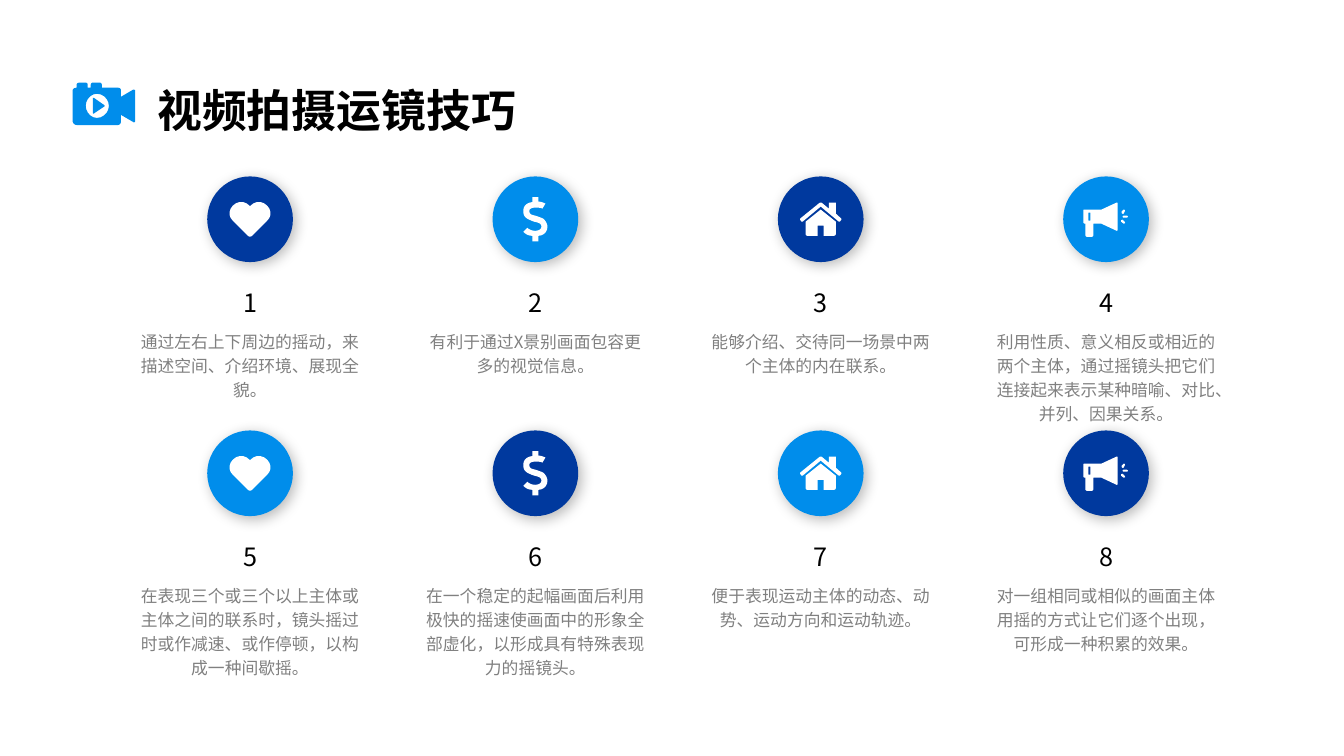
from lxml.etree import SubElement
from pptx import Presentation
from pptx.dml.color import RGBColor
from pptx.enum.shapes import MSO_SHAPE
from pptx.enum.text import MSO_ANCHOR, MSO_AUTO_SIZE, PP_ALIGN
from pptx.oxml import parse_xml
from pptx.oxml.ns import nsdecls, qn
from pptx.util import Inches, Pt

FONT = "Noto Sans CJK SC"
DARK_BLUE, BRIGHT_BLUE, WHITE = "00399E", "008DEB", "FFFFFF"

# Icon outlines in hundredths of an inch around the icon centre.
# Each line is one contour: "x,y" is a corner, six numbers are a curve.
CAMERA = """
-10,-6 0,1 1,1,1,3,0,3 -9,9 -10,10,-11,10,-11,9 -11,-5 -11,-6,-11,-6,-10,-6
-7,-10 -13,-10,-18,-4,-18,2 -18,8,-13,14,-7,14 0,14,5,8,5,2 5,-4,0,-10,-7,-10
-24,-21 -18,-21 -17,-21,-16,-20,-16,-19 -16,-16 -13,-16 -13,-19 -13,-20,-12,-21,-11,-21 -4,-21 -3,-21,-2,-20,-2,-19 -2,-16 14,-16 16,-16,17,-15,17,-13 17,-7 29,-14 30,-14,31,-14,31,-13 31,17 31,18,30,19,29,18 17,11 17,17 17,19,16,21,14,21 -27,21 -29,21,-31,19,-31,17 -31,-13 -31,-15,-29,-16,-27,-16 -27,-19 -27,-20,-26,-21,-24,-21
"""
HEART = """
0,-13 -5,-18.5,-12,-18.5,-17,-13.5 -21.5,-9,-21.5,-2.5,-17,1.5 -2,16.5 -1,17.5,1,17.5,2,16.5 17,1.5 21.5,-2.5,21.5,-9,17,-13.5 12,-18.5,5,-18.5,0,-13
"""
DOLLAR = """
12,7.5 12,4.5,10,1.5,8,-0.5 6,-1.5,3,-2.5,0,-3.5 -5,-4.5,-6,-5.5,-6,-8.5 -6,-10.5,-3,-11.5,0,-11.5 3,-11.5,5,-11.5,7,-10.5 10,-15.5 8,-16.5,5,-17.5,3,-17.5 3,-22 -3,-22 -3,-17 -9,-16.5,-12,-12.5,-12,-8.5 -12,-4.5,-11,-2.5,-8,-0.5 -6,0.5,-4,1.5,-1,2.5 4,3.5,6,4.5,6,7.5 6,10.5,2,11.5,0,11.5 -3,11.5,-6,10.5,-8,8.5 -12,12.5 -10,14.5,-7,16.5,-3,16.5 -3,22 3,22 3,16.5 8,16.5,12,12.5,12,7.5
"""
HOUSE = """
20.5,0.5 19,2.5 18,2.5 0,-12.5 -18,2.5 -19,2.5 -20.5,0.5 -20.5,-0.5 -2,-15.5 -1,-16.8,1,-16.8,2,-15.5 8,-10.5 8,-16.5 15,-16.5 15,-5.5 20.5,-0.5
15,2.5 15,14.5 15,16,14,16.5,13,16.5 3,16.5 3,6.5 -3,6.5 -3,16.5 -13,16.5 -14,16.5,-15,16,-15,14.5 -15,2.5 0,-9.5
"""
MEGAPHONE = """
16.5,0.5 18.5,2.5 19,4 17.5,4.5 15,2.5 15,1
17.5,-3.5 20.5,-3.5 22,-3.5,22,-1.5,20.5,-1.5 17.5,-1.5 16,-1.5,16,-3.5,17.5,-3.5
-17.5,-6.5 -17.5,1.5 -15.5,1.5 -15.5,-6.5
17.5,-9.5 19,-9.5,19,-8,18.5,-7.5 17.5,-5.5 16.5,-5,15,-5.5,15.5,-7.5
10.5,-16.5 11.5,-16.5,11.5,-16,11.5,-15.5 11.5,10.5 11.5,11.5,11,11.5,10.5,11.5 -4.5,4.5 -12.5,4.5 -12.5,15.5 -12.5,17,-13.5,17.5,-14.5,17.5 -18.5,17.5 -19.5,17.5,-20.5,17,-20.5,15.5 -20.5,4.5 -22,4.5,-22.5,4,-22.5,2.5 -22.5,-8.5 -22.5,-9.5,-22,-9.5,-20.5,-9.5 -4.5,-9.5
"""

TIPS = [
    "通过左右上下周边的摇动，来描述空间、介绍环境、展现全貌。",
    "有利于通过X景别画面包容更多的视觉信息。",
    "能够介绍、交待同一场景中两个主体的内在联系。",
    "利用性质、意义相反或相近的两个主体，通过摇镜头把它们连接起来表示某种暗喻、对比、并列、因果关系。",
    "在表现三个或三个以上主体或主体之间的联系时，镜头摇过时或作减速、或作停顿，以构成一种间歇摇。",
    "在一个稳定的起幅画面后利用极快的摇速使画面中的形象全部虚化，以形成具有特殊表现力的摇镜头。",
    "便于表现运动主体的动态、动势、运动方向和运动轨迹。",
    "对一组相同或相似的画面主体用摇的方式让它们逐个出现，可形成一种积累的效果。",
]

prs = Presentation()
prs.slide_width, prs.slide_height = Inches(13.33), Inches(7.5)
slide = prs.slides.add_slide(prs.slide_layouts[5])


def draw_icon(outline, center_x, center_y, color):
    builder = None
    for contour in outline.strip().splitlines():
        points = []
        for step in contour.split():
            numbers = [Inches(float(n) / 100) for n in step.split(",")]
            target = numbers[-2:]
            if len(numbers) == 6:
                knots = [points[-1], numbers[:2], numbers[2:4], target]
                for t in (0.2, 0.4, 0.6, 0.8):
                    weights = ((1 - t) ** 3, 3 * t * (1 - t) ** 2, 3 * t * t * (1 - t), t ** 3)
                    points.append([sum(w * k[axis] for w, k in zip(weights, knots)) for axis in (0, 1)])
            points.append(target)
        if builder is None:
            builder = slide.shapes.build_freeform(*points[0])
        else:
            builder.move_to(*points[0])
        builder.add_line_segments(points[1:], close=True)
    icon = builder.convert_to_shape(Inches(center_x), Inches(center_y))
    icon.shadow.inherit = False
    icon.fill.solid()
    icon.fill.fore_color.rgb = RGBColor.from_string(color)
    icon.line.fill.background()


def write(box, text, size, color, align, spacing=1.0, bold=False, wrap=True):
    frame = box.text_frame
    frame.text = text
    frame.word_wrap = wrap
    frame.vertical_anchor = MSO_ANCHOR.TOP
    frame.auto_size = MSO_AUTO_SIZE.SHAPE_TO_FIT_TEXT
    paragraph = frame.paragraphs[0]
    paragraph.alignment = align
    paragraph.line_spacing = spacing
    font = paragraph.runs[0].font
    font.size, font.bold, font.name = Pt(size), bold, FONT
    font.color.rgb = RGBColor.from_string(color)
    SubElement(paragraph.runs[0]._r.get_or_add_rPr(), qn("a:ea")).set("typeface", FONT)


# Heading
draw_icon(CAMERA, 1.03, 1.03, BRIGHT_BLUE)
heading = slide.shapes.title
heading.left, heading.top, heading.width, heading.height = map(Inches, (1.46, 0.61, 3.79, 0.73))
write(heading, "视频拍摄运镜技巧", 32, "000000", PP_ALIGN.LEFT, 1.3, bold=True, wrap=False)

# Tips: a grid of four columns and two rows
FIRST_CENTER, COLUMN_PITCH, ROW_PITCH = 2.48, 2.83, 2.52
DISC, NUMBER_WIDTH, TIP_WIDTH = 0.85, 1.45, 2.44
icons = [HEART, DOLLAR, HOUSE, MEGAPHONE]

for index, tip in enumerate(TIPS):
    row, column = divmod(index, len(icons))
    center = FIRST_CENTER + column * COLUMN_PITCH
    top = 1.75 + row * ROW_PITCH

    # Disc with a soft shadow, and its icon
    disc = slide.shapes.add_shape(
        MSO_SHAPE.OVAL, Inches(center - DISC / 2), Inches(top), Inches(DISC), Inches(DISC))
    disc.fill.solid()
    disc.fill.fore_color.rgb = RGBColor.from_string(BRIGHT_BLUE if (row + column) % 2 else DARK_BLUE)
    disc.line.fill.background()
    disc._element.spPr.append(parse_xml(
        f'<a:effectLst {nsdecls("a")}><a:outerShdw blurRad="{Pt(10)}" dist="{Pt(3)}" dir="2700000" '
        'algn="tl" rotWithShape="0"><a:srgbClr val="000000"><a:alpha val="28000"/></a:srgbClr>'
        '</a:outerShdw></a:effectLst>'))
    draw_icon(icons[column], center, top + DISC / 2, WHITE)

    # Number and description
    number = slide.shapes.add_textbox(
        Inches(center - NUMBER_WIDTH / 2), Inches(top + 1.05), Inches(NUMBER_WIDTH), Inches(0.4))
    write(number, str(index + 1), 18, "000000", PP_ALIGN.CENTER)
    description = slide.shapes.add_textbox(
        Inches(center - TIP_WIDTH / 2), Inches(top + 1.45), Inches(TIP_WIDTH), Inches(0.83))
    write(description, tip, 12, "808080", PP_ALIGN.CENTER, 1.2)

prs.save("out.pptx")
